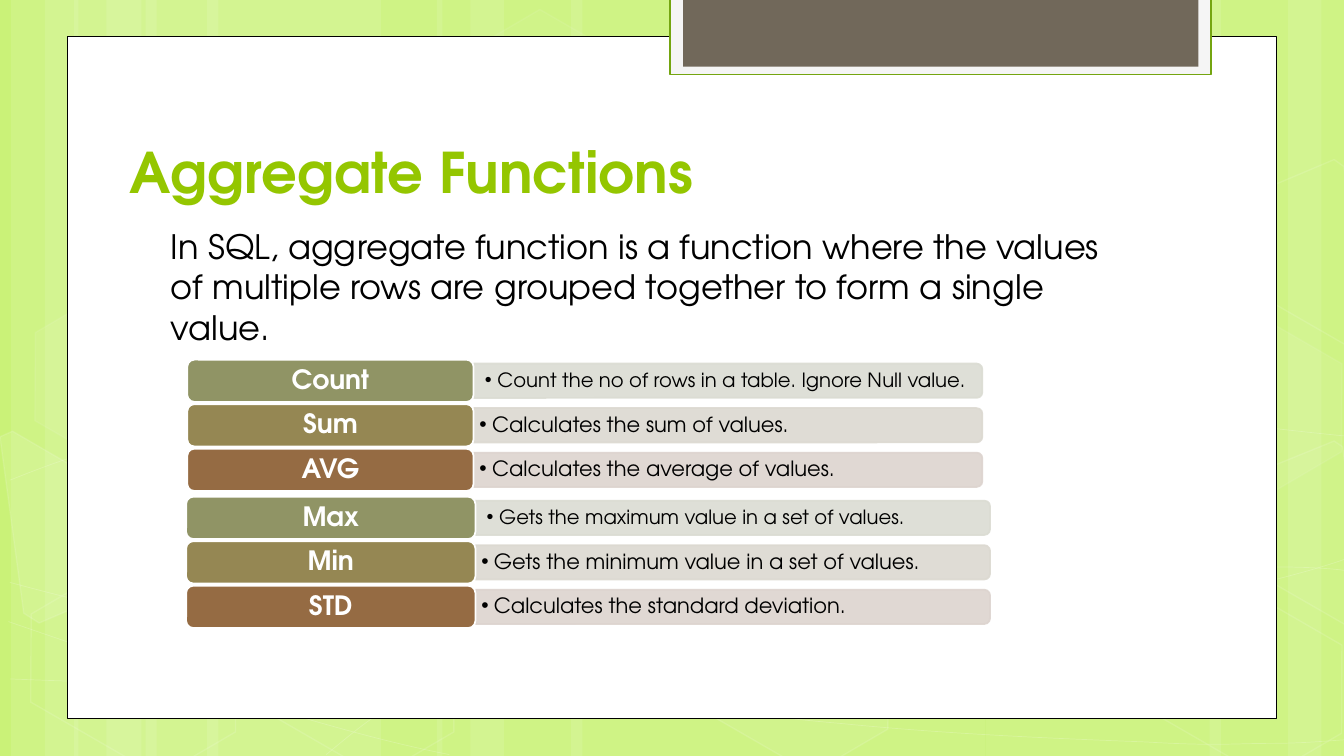
from dataclasses import dataclass

import lxml.etree
import pptx
import pptx.dml.color
import pptx.enum.shapes
import pptx.enum.text
import pptx.oxml.ns
import pptx.util

Pt = pptx.util.Pt
qn = pptx.oxml.ns.qn
SHAPE = pptx.enum.shapes.MSO_SHAPE
ANCHOR = pptx.enum.text.MSO_ANCHOR
ALIGN = pptx.enum.text.PP_ALIGN

FONT = "TeX Gyre Adventor"
SLIDE_W, SLIDE_H = 960, 540
ROW_PITCH, LABEL_H, BAR_H, DETAIL_H = 31.8, 30.2, 24.5, 21.6
BULLET_INDENT = 9


@dataclass
class Paint:
    """Fill and line of a shape; opacities are percentages."""
    fill: str = ""
    line: str = ""
    width: float = 1
    fill_opacity: int = 100
    line_opacity: int = 100


@dataclass
class Row:
    """One aggregate function with its explanation and colours."""
    name: str
    detail: str
    label_color: str
    bar_color: str
    size: float
    inset: tuple[float, float]


@dataclass
class Panel:
    """Three rows that share a left edge and column widths."""
    left: float
    top: float
    label_w: float
    detail_w: float
    entries: list[tuple[str, str]]


@dataclass
class Hexagon:
    """A background hexagon; zero fill opacity means outline only."""
    left: float
    top: float
    fill_opacity: int
    line_opacity: int


# label colour, bar colour, detail size, detail insets (side, top and bottom)
ROW_STYLES = [("909465", "DBDCD3", 14, (8, 4)),
              ("958753", "DCD9D1", 15, (4.2, 2.1)),
              ("956B43", "DDD4CF", 15, (4.2, 2.1))]
PANELS = [
    Panel(133.8, 256.9, 204.5, 362.4, [
        ("Count", "Count the no of rows in a table. Ignore Null value."),
        ("Sum", "Calculates the sum of values."),
        ("AVG", "Calculates the average of values.")]),
    Panel(133, 354.8, 206.6, 366.6, [
        ("Max", "Gets the maximum value in a set of values."),
        ("Min", "Gets the minimum value in a set of values."),
        ("STD", "Calculates the standard deviation.")]),
]
STRIPES = [(104, 168), (8, 48), (32, 80), (148, 168), (53, 48), (76, 80),
           (704, 168), (920, 48), (864, 80), (408, 296), (312, 48), (336, 80)]
# Each curve is a start point followed by three points per cubic segment.
CURVES = [
    [(7, 485), (59, 487), (111, 489), (183, 488), (255, 487), (343, 486), (439, 479),
     (536, 472), (672, 458), (760, 444), (848, 431), (938, 409), (967, 397)],
    [(7, 343), (35, 332), (62, 321), (117, 310), (171, 300), (248, 284), (333, 279),
     (419, 274), (522, 273), (628, 279), (734, 284), (909, 307), (967, 312)],
    [(6, 444), (122, 484), (238, 523), (321, 539)],
    [(7, 416), (37, 424), (67, 432), (123, 444), (179, 454), (262, 472), (342, 485),
     (422, 497), (523, 510), (603, 517), (683, 525), (768, 528), (819, 530),
     (869, 533), (882, 531), (907, 531), (932, 531), (950, 529), (967, 528)],
    [(233, 539), (250, 525), (266, 511), (290, 498), (313, 485), (346, 470), (372, 460),
     (399, 450), (415, 446), (451, 438), (486, 431), (551, 421), (584, 416),
     (618, 411), (623, 411), (653, 410), (683, 407), (729, 405), (762, 405),
     (796, 404), (851, 405), (851, 405), (872, 405), (893, 405), (914, 405),
     (932, 405), (948, 406), (957, 407), (963, 408), (965, 407), (966, 408)],
]
HEXAGONS = [Hexagon(320, 26, 4, 8), Hexagon(477, 424, 6, 12), Hexagon(11, 426, 0, 12),
            Hexagon(14, 225, 7, 8), Hexagon(167, 426, 0, 12), Hexagon(801, 427, 0, 12),
            Hexagon(801, 226, 7, 8)]
CUT_HEXAGONS = [
    ([(0, 312), (9, 308), (83, 351), (91, 418), (28, 445), (17, 438)], 10),
    ([(889, 341), (953, 315), (959, 319), (977, 450), (971, 452), (898, 410)], 4),
    ([(889, 141), (953, 114), (960, 119), (977, 249), (971, 252), (898, 210)], 0),
]


def rgb(color: str) -> pptx.dml.color.RGBColor:
    """Turn a hex string into a colour."""
    return pptx.dml.color.RGBColor.from_string(color)


def set_opacity(parent, percent: int) -> None:
    """Make the solid fill inside an XML element partly transparent."""
    if percent < 100:
        color = parent.find(qn("a:solidFill"))[0]
        lxml.etree.SubElement(color, qn("a:alpha")).set("val", str(percent * 1000))


def apply_paint(shape, paint: Paint) -> None:
    """Give a shape its fill and line and take away its shadow."""
    shape.shadow.inherit = False
    properties = shape.element.spPr
    if paint.fill and paint.fill_opacity:
        shape.fill.solid()
        shape.fill.fore_color.rgb = rgb(paint.fill)
        set_opacity(properties, paint.fill_opacity)
    else:
        shape.fill.background()
    if paint.line:
        shape.line.color.rgb = rgb(paint.line)
        shape.line.width = Pt(paint.width)
        set_opacity(properties.find(qn("a:ln")), paint.line_opacity)
    else:
        shape.line.fill.background()


def add_preset(slide, kind, left: float, top: float, width: float, height: float,
               paint: Paint, rotation: float = 0):
    """Draw a preset shape."""
    shape = slide.shapes.add_shape(kind, Pt(left), Pt(top), Pt(width), Pt(height))
    shape.rotation = rotation
    apply_paint(shape, paint)
    return shape


def add_outline(slide, points: list, paint: Paint, close: bool):
    """Draw a freeform through points given in points."""
    builder = slide.shapes.build_freeform(*points[0], scale=Pt(1))
    builder.add_line_segments(points[1:], close=close)
    shape = builder.convert_to_shape()
    apply_paint(shape, paint)
    return shape


def add_curve(slide, controls: list, paint: Paint) -> None:
    """Draw an open chain of cubic segments."""
    shape = add_outline(slide, controls, paint, False)
    lines = list(shape.element.spPr.iter(qn("a:lnTo")))
    outline = lines[0].getparent()
    for start in range(0, len(lines), 3):
        segment = lxml.etree.SubElement(outline, qn("a:cubicBezTo"))
        for line in lines[start:start + 3]:
            segment.append(line[0])
            outline.remove(line)


def write(shape, text: str, size: float, color: str, bold: bool = False,
          anchor=ANCHOR.TOP, inset: tuple[float, float] = (7.2, 3.6)):
    """Put one paragraph of text in a shape and return the paragraph."""
    frame = shape.text_frame
    frame.text = text
    frame.word_wrap = True
    frame.vertical_anchor = anchor
    frame.margin_left = frame.margin_right = Pt(inset[0])
    frame.margin_top = frame.margin_bottom = Pt(inset[1])
    paragraph = frame.paragraphs[0]
    font = paragraph.runs[0].font
    font.name, font.size, font.bold = FONT, Pt(size), bold
    font.color.rgb = rgb(color)
    return paragraph


def add_text(slide, left: float, top: float, width: float, height: float):
    """Add an empty text box."""
    return slide.shapes.add_textbox(Pt(left), Pt(top), Pt(width), Pt(height))


def indent(paragraph, left: float, first: float):
    """Set the left margin and first-line indent; return the properties."""
    properties = paragraph._p.get_or_add_pPr()
    properties.set("marL", str(Pt(left)))
    properties.set("indent", str(Pt(first)))
    return properties


def add_row(slide, panel: Panel, top: float, row: Row) -> None:
    """Draw the bar, its bulleted detail and the label of one function."""
    middle = top + LABEL_H / 2
    bar_left, bar_w = panel.left + panel.label_w, panel.detail_w + 1
    add_preset(slide, SHAPE.ROUND_2_SAME_RECTANGLE, bar_left + (bar_w - BAR_H) / 2,
               middle - bar_w / 2, BAR_H, bar_w,
               Paint(row.bar_color, row.bar_color, 1.25, 90, 90), 90)
    detail = add_text(slide, bar_left, middle - DETAIL_H / 2, panel.detail_w, DETAIL_H)
    paragraph = write(detail, row.detail, row.size, "000000", False, ANCHOR.MIDDLE, row.inset)
    paragraph.line_spacing = 0.9
    properties = indent(paragraph, BULLET_INDENT, -BULLET_INDENT)
    lxml.etree.SubElement(properties, qn("a:buFont")).set("typeface", "Arial")
    lxml.etree.SubElement(properties, qn("a:buChar")).set("char", "•")
    label = add_preset(slide, SHAPE.ROUNDED_RECTANGLE, panel.left, top, panel.label_w, LABEL_H,
                       Paint(row.label_color, "FFFFFF", 1.25))
    paragraph = write(label, row.name, 19, "FFFFFF", True, ANCHOR.MIDDLE, (5.8, 2.9))
    paragraph.alignment = ALIGN.CENTER
    paragraph.line_spacing = 0.9


def add_backdrop(slide) -> None:
    """Draw the green pattern, the white sheet and the tab at its top."""
    slide.background.fill.solid()
    slide.background.fill.fore_color.rgb = rgb("CAF278")
    for left, width in STRIPES:
        add_preset(slide, SHAPE.RECTANGLE, left, 0, width, SLIDE_H,
                   Paint("FFFFFF", fill_opacity=10))
    for controls in CURVES:
        add_curve(slide, controls, Paint(line="FFFFFF", width=0.5, line_opacity=20))
    for cell in HEXAGONS:
        hexagon = add_preset(slide, SHAPE.HEXAGON, cell.left, cell.top, 168.5, 109.4,
                             Paint("FFFFFF", "FFFFFF", 1, cell.fill_opacity,
                                   cell.line_opacity), 30)
        hexagon.adjustments[0] = 0.285
    for corners, opacity in CUT_HEXAGONS:
        add_outline(slide, corners, Paint("FFFFFF", "FFFFFF", 1, opacity, 12), True)
    add_preset(slide, SHAPE.RECTANGLE, 48, 26, 864, 487, Paint("FFFFFF", "000000", 0.5))
    add_preset(slide, SHAPE.RECTANGLE, 478.7, -1.4, 386.2, 54.7, Paint("F5F5F5", "74A510", 1.25))
    add_preset(slide, SHAPE.RECTANGLE, 488, -1.4, 368, 49, Paint("71685A"))


deck = pptx.Presentation()
deck.slide_width, deck.slide_height = Pt(SLIDE_W), Pt(SLIDE_H)
slide = deck.slides.add_slide(deck.slide_layouts[6])
add_backdrop(slide)
write(add_text(slide, 85.7, 59.8, 737.3, 90), "Aggregate Functions", 40, "94C600", True,
      ANCHOR.BOTTOM)
definition = write(
    add_text(slide, 109.4, 157.9, 711.4, 301.7),
    "In SQL, aggregate function\u00a0is a\u00a0function\u00a0where the values of multiple rows "
    "are grouped together to form a single value.", 24, "000000")
indent(definition, 5.6, 0)
for panel in PANELS:
    for index, (entry, style) in enumerate(zip(panel.entries, ROW_STYLES)):
        add_row(slide, panel, panel.top + index * ROW_PITCH, Row(*entry, *style))
deck.save("out.pptx")
